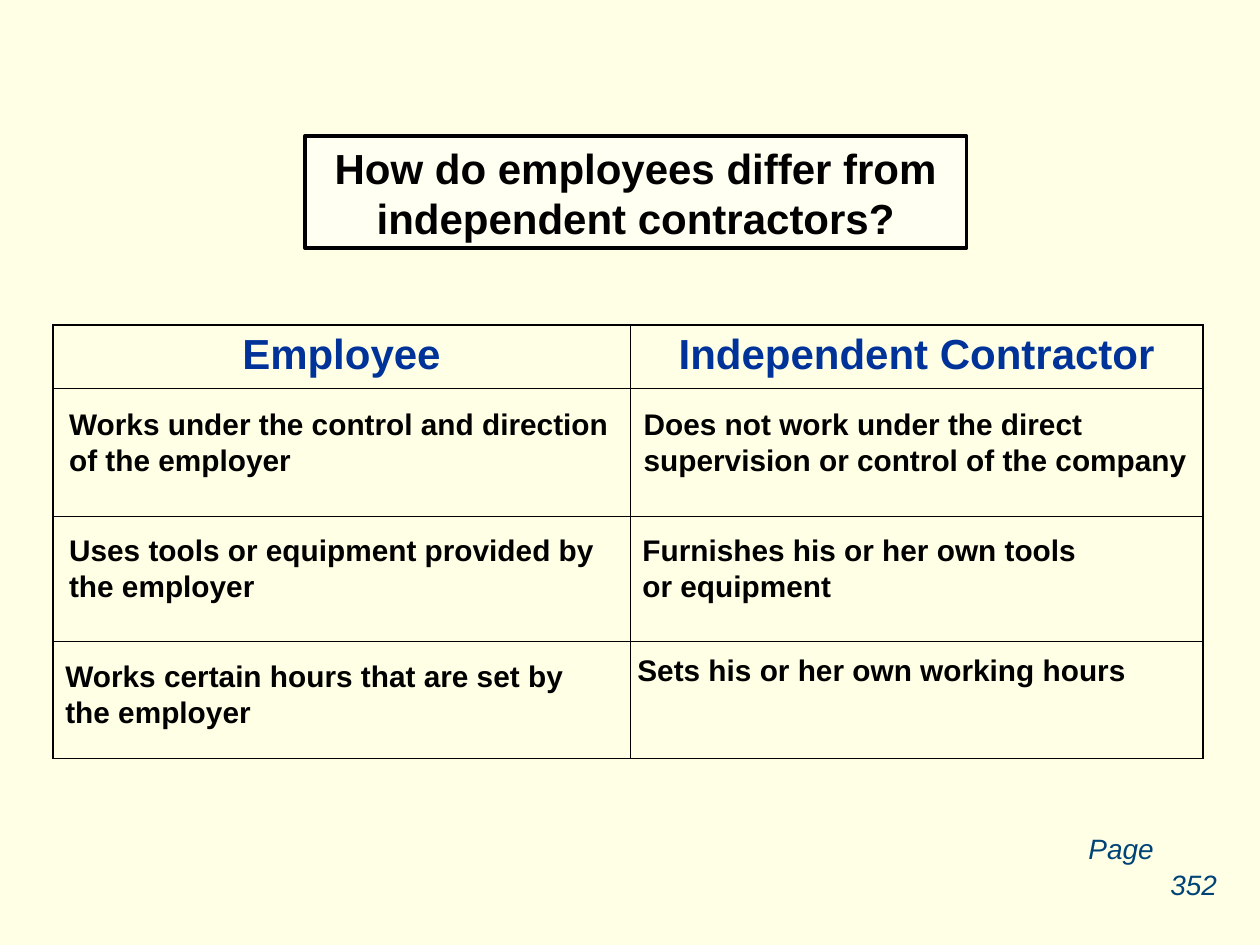
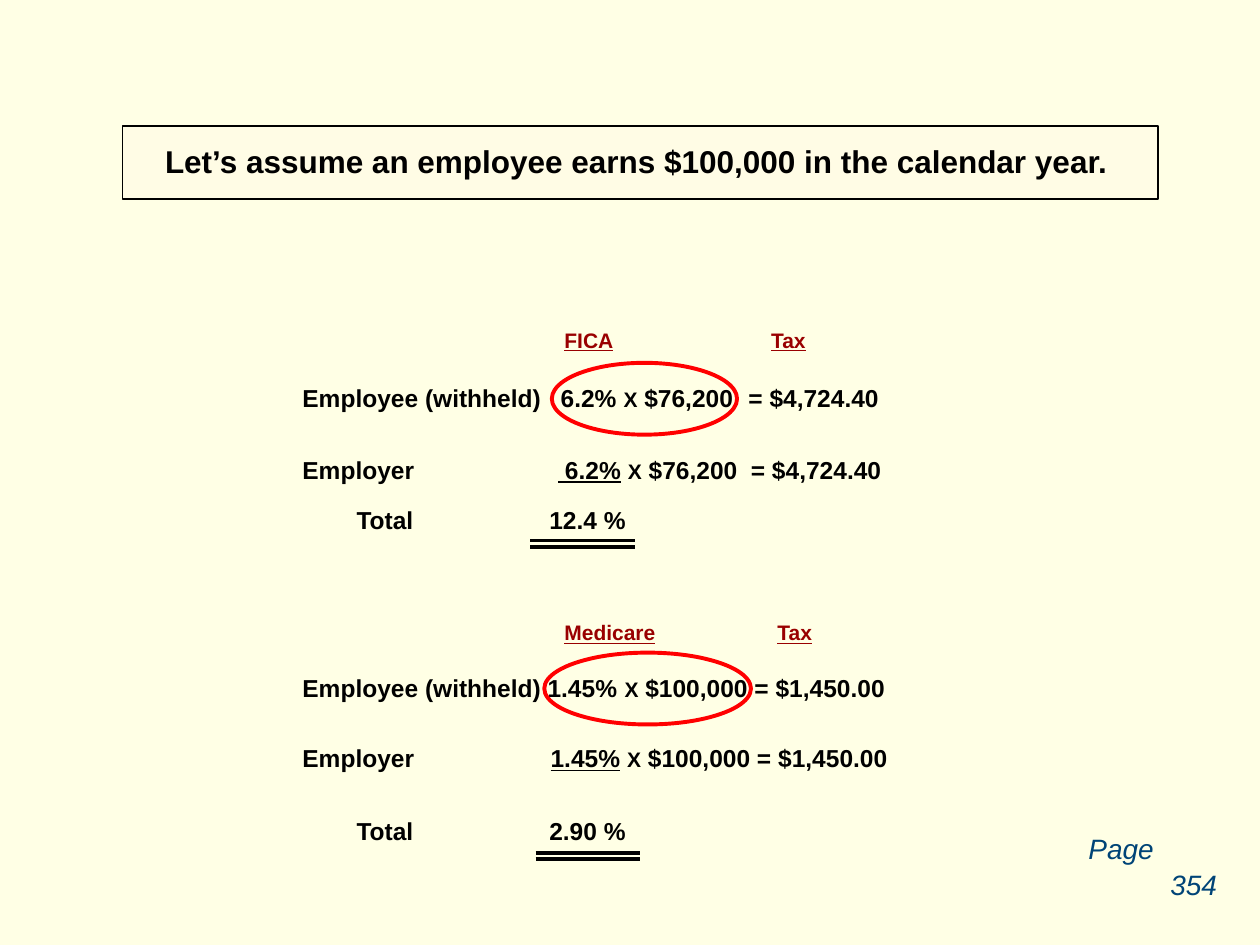
from dataclasses import dataclass
from lxml import etree
from pptx import Presentation
from pptx.dml.color import RGBColor
from pptx.enum.shapes import MSO_CONNECTOR, MSO_SHAPE
from pptx.enum.text import PP_ALIGN
from pptx.oxml.ns import qn
from pptx.util import Inches, Pt

RECT = MSO_SHAPE.RECTANGLE
OVAL = MSO_SHAPE.OVAL
LINE = MSO_CONNECTOR.STRAIGHT
LEFT = PP_ALIGN.LEFT
MID = PP_ALIGN.CENTER
UNDER = "under"
SMALL = "small"


@dataclass(frozen=True)
class Theme:
    font: str = "Arial"
    back: str = "FFFFE5"
    ink: str = "000000"
    white: str = "FFFFFF"
    cream: str = "FFFCE5"
    page: str = "004477"
    head: str = "003399"
    label: str = "990000"
    ring: str = "FF0000"
    title: int = 24
    lead: int = 18
    body: int = 17
    foot: int = 16
    sum: int = 14
    note: int = 12
    thick: float = 2.25
    edge: float = 1.08
    thin: float = 0.45


def rgb(code):
    return RGBColor.from_string(code)


class Deck:
    def __init__(self, theme):
        self.theme = theme
        self.prs = Presentation()
        self.prs.slide_width = Inches(10)
        self.prs.slide_height = Inches(7.5)
        self.slide = None

    def page(self, number):
        theme = self.theme
        self.slide = self.prs.slides.add_slide(self.prs.slide_layouts[6])
        fill = self.slide.background.fill
        fill.solid()
        fill.fore_color.rgb = rgb(theme.back)
        for left, top, wide, word in ((8.54, 6.55, 0.72, "Page"), (9.19, 6.84, 0.57, number)):
            self.text((left, top, wide, 0.37), [word], theme.foot, theme.page, bold=False, slant=True)

    def style(self, para, size, color, bold=True, slant=False):
        font = para.font
        font.name = self.theme.font
        font.size = Pt(size)
        font.bold = bold
        font.italic = slant
        font.color.rgb = rgb(color)

    def text(self, box, parts, size, color=None, align=LEFT, bold=True, slant=False, stops=(), inset=0.1):
        frame = self.slide.shapes.add_textbox(*map(Inches, box)).text_frame
        frame.word_wrap = True
        frame.margin_left = Inches(inset)
        frame.margin_right = Inches(0.1 if align == MID else 0)
        para = frame.paragraphs[0]
        para.alignment = align
        if stops:
            tabs = etree.SubElement(para._p.get_or_add_pPr(), qn("a:tabLst"))
            for stop in stops:
                etree.SubElement(tabs, qn("a:tab"), pos=str(Inches(stop)), algn="l")
        self.style(para, size, color or self.theme.ink, bold, slant)
        for part in parts:
            word, look = part if isinstance(part, tuple) else (part, None)
            for num, piece in enumerate(word.split("\n")):
                if num:
                    para.add_line_break()
                run = para.add_run()
                run.text = piece
                if look == UNDER:
                    run.font.underline = True
                elif look == SMALL:
                    run.font.size = Pt(self.theme.note)

    def shape(self, kind, box, line, width, fill=None, alpha=None):
        shape = self.slide.shapes.add_shape(kind, *map(Inches, box))
        shape.shadow.inherit = False
        shape.line.color.rgb = rgb(line)
        shape.line.width = Pt(width)
        if fill is None:
            shape.fill.background()
            return
        shape.fill.solid()
        shape.fill.fore_color.rgb = rgb(fill)
        if alpha:
            tone = shape._element.spPr.find(qn("a:solidFill"))[0]
            etree.SubElement(tone, qn("a:alpha"), val=str(alpha * 1000))

    def double(self, left, top):
        for y in (top, top + 0.05):
            ends = map(Inches, (left, y, left + 0.83, y))
            line = self.slide.shapes.add_connector(LINE, *ends)
            line.line.color.rgb = rgb(self.theme.ink)
            line.line.width = Pt(self.theme.thick)
            etree.SubElement(line._element.spPr, qn("a:effectLst"))

    def border(self, cell, outer):
        props = cell._tc.get_or_add_tcPr()
        for side in "LRTB":
            width = self.theme.edge if side in outer else self.theme.thin
            line = etree.SubElement(props, qn("a:ln" + side), w=str(Pt(width)))
            fill = etree.SubElement(line, qn("a:solidFill"))
            etree.SubElement(fill, qn("a:srgbClr"), val=self.theme.ink)

    def table(self, box, cols, rows, heads):
        table = self.slide.shapes.add_table(len(rows), len(cols), *map(Inches, box)).table
        table.first_row = table.horz_banding = False
        for col, width in zip(table.columns, cols):
            col.width = Inches(width)
        for row, height in zip(table.rows, rows):
            row.height = Inches(height)
        for r in range(len(rows)):
            for c in range(len(cols)):
                cell = table.cell(r, c)
                outer = "L" * (c == 0) + "R" * (c == len(cols) - 1)
                outer += "T" * (r == 0) + "B" * (r == len(rows) - 1)
                self.border(cell, outer)
                cell.fill.background()
        for c, head in enumerate(heads):
            para = table.cell(0, c).text_frame.paragraphs[0]
            para.text = head
            para.alignment = MID
            self.style(para, self.theme.title, self.theme.head)

    def tax(self, top, name, gap, rows, rule):
        theme = self.theme
        parts = [(name, UNDER), "\t", ("Tax", UNDER)]
        self.text((4.33, top, 3.83, 0.3), parts, theme.note, theme.label, stops=[gap], inset=0.15)
        for y, stops, row in rows:
            self.text((2.25, y, 7.5, 0.34), row, theme.sum, stops=stops, inset=0.15)
        self.double(*rule)


def compare(deck):
    theme = deck.theme
    deck.page("352")
    deck.shape(RECT, (2.42, 1.08, 5.25, 0.89), theme.ink, 2, theme.white, 50)
    deck.text((2.42, 1.08, 5.25, 0.9), ["How do employees differ from independent contractors?"],
              theme.title, align=MID)
    deck.table((0.42, 2.58, 9.13, 3.43), (4.58, 4.55), (0.5, 1.02, 0.99, 0.93),
               ("Employee", "Independent Contractor"))
    notes = (
        (0.45, 3.17, 4.55, "Works under the control and direction\nof the employer"),
        (5.01, 3.17, 4.51, "Does not work under the direct\nsupervision or control of the company"),
        (0.45, 4.17, 4.43, "Uses tools or equipment provided by\nthe employer"),
        (5, 4.17, 3.71, "Furnishes his or her own tools\nor equipment"),
        (0.42, 5.17, 4.22, "Works certain hours that are set by\nthe employer"),
        (4.96, 5.12, 4.08, "Sets his or her own working hours"),
    )
    for left, top, wide, note in notes:
        high = 0.67 if "\n" in note else 0.39
        deck.text((left, top, wide, high), [note], theme.body)


def payroll(deck):
    theme = deck.theme
    deck.page("354")
    deck.shape(RECT, (0.97, 1, 8.22, 0.58), theme.ink, 0.75, theme.cream)
    times = ("X", SMALL)
    fica = (
        (2.99, (2.05, 3.54), ["Employee (withheld)\t6.2% ", times, " $76,200\t= $4,724.40"]),
        (3.56, (2.03, 3.56), ["Employer\t", (" 6.2%", UNDER), " ", times, " $76,200\t= $4,724.40"]),
        (3.96, (0.43, 1.96), ["\tTotal\t12.4 %"]),
    )
    care = (
        (5.29, (), ["Employee (withheld) 1.45% ", times, " $100,000 = $1,450.00"]),
        (5.85, (1.97,), ["Employer\t", ("1.45%", UNDER), " ", times, " $100,000 = $1,450.00"]),
        (6.43, (0.43, 1.96), ["\tTotal\t2.90 %"]),
    )
    deck.tax(2.55, "FICA", 1.64, fica, (4.21, 4.29))
    deck.tax(4.87, "Medicare", 1.69, care, (4.25, 6.77))
    for ring in ((4.32, 5.18, 1.64, 0.57), (4.38, 2.88, 1.47, 0.57)):
        deck.shape(OVAL, ring, theme.ring, theme.thick)
    deck.text((0.94, 1.08, 8.22, 0.4), ["Let’s assume an employee earns $100,000 in the calendar year."],
              theme.lead, align=MID)


def main():
    deck = Deck(Theme())
    compare(deck)
    payroll(deck)
    deck.prs.save("out.pptx")


if __name__ == "__main__":
    main()
